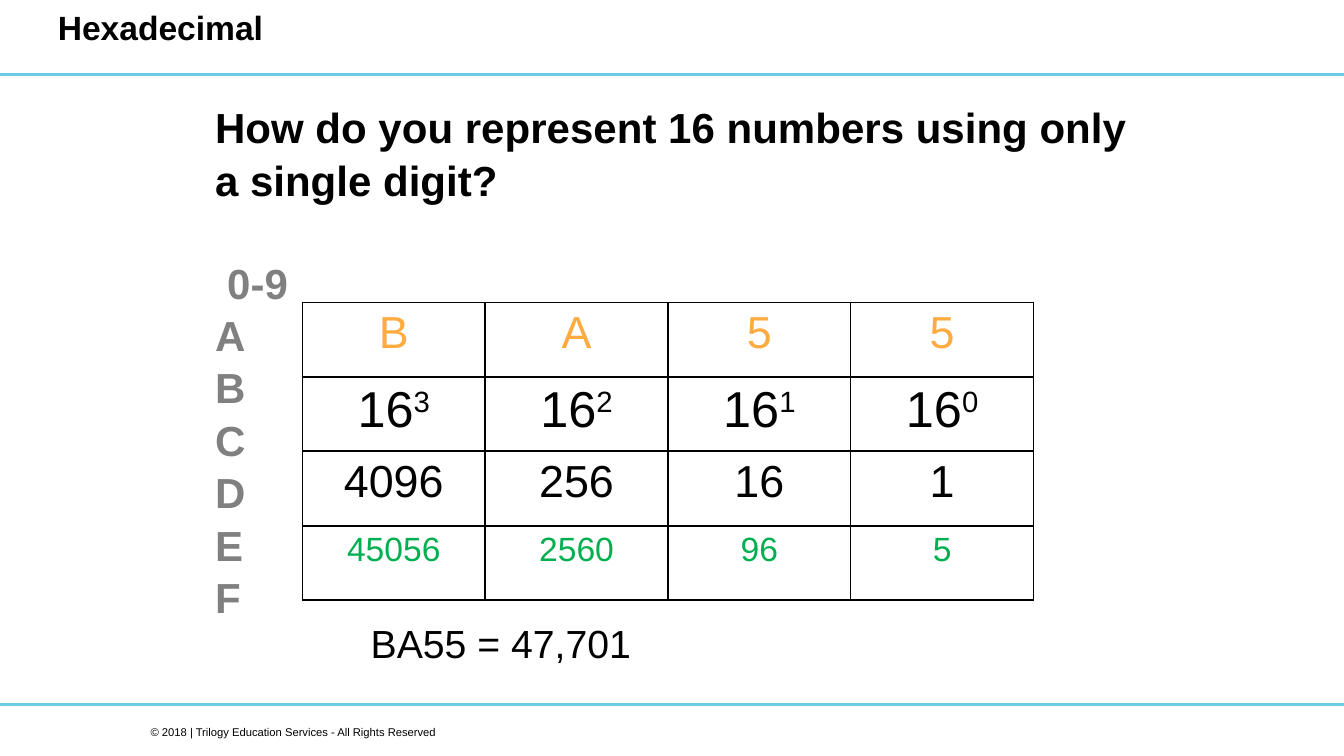
from pptx import Presentation
from pptx.dml.color import RGBColor
from pptx.enum.shapes import MSO_SHAPE
from pptx.enum.text import MSO_ANCHOR, MSO_AUTO_SIZE, PP_ALIGN
from pptx.oxml import parse_xml
from pptx.oxml.ns import nsdecls
from pptx.util import Inches, Pt

THEME = {
    "font": "Arial",
    "black": "000000", "gray": "808080", "bar": "6CCCE6",
    "orange": "FFAB40", "green": "00B050",
    "tiny": 6, "small": 18, "sum": 21, "body": 22.5, "cell": 24, "power": 27,
}

deck = Presentation()
deck.slide_width, deck.slide_height = Inches(10), Inches(5.625)
slide = deck.slides.add_slide(deck.slide_layouts[1])


def area(x, y, wide, high):
    """Turn percent shares of the slide into lengths."""
    col, row = deck.slide_width / 100, deck.slide_height / 100
    return [int(v) for v in (x * col, y * row, wide * col, high * row)]


def put(frame, text, size, color="black", bold=False, align=PP_ALIGN.LEFT,
        first=True, before=0, line=1.0, indent=0):
    """Write one paragraph; a part after ^ is raised."""
    frame.word_wrap = True
    para = frame.paragraphs[0] if first else frame.add_paragraph()
    props = para._p.get_or_add_pPr()
    props.set("marL", "0")
    props.set("indent", str(Inches(indent)))
    props.append(parse_xml(f"<a:buNone {nsdecls('a')}/>"))
    para.alignment, para.line_spacing = align, line
    para.space_before, para.space_after = Pt(before), Pt(0)
    for level, part in enumerate(text.split("^")):
        run = para.add_run()
        run.text = part
        font = run.font
        font.name, font.size, font.bold = THEME["font"], Pt(THEME[size]), bold
        font.color.rgb = RGBColor.from_string(THEME[color])
        if level:
            run._r.get_or_add_rPr().set("baseline", "30000")


# Rules above and below the content
for y in (9.6, 92.95):
    bar = slide.shapes.add_shape(MSO_SHAPE.FLOWCHART_PROCESS, *area(0, y, 100, 0.4))
    bar.shadow.inherit = False
    bar.fill.solid()
    bar.fill.fore_color.rgb = RGBColor.from_string(THEME["bar"])
    bar.line.fill.background()

# Title and body
title, body = slide.shapes.title, slide.placeholders[1]
for holder, spot in ((title, (3.3, 0, 59.8, 9.6)), (body, (15, 12.3, 72.5, 72.2))):
    holder.left, holder.top, holder.width, holder.height = area(*spot)
    holder.text_frame.auto_size = MSO_AUTO_SIZE.NONE
    holder.text_frame.vertical_anchor = MSO_ANCHOR.TOP
put(title.text_frame, "Hexadecimal", "small", bold=True)

put(body.text_frame, "How do you represent 16 numbers using only a single digit?",
    "body", bold=True, line=1.04)
for digit in ("0-9", *"ABCDEF"):
    head = digit == "0-9"
    put(body.text_frame, digit, "body", "gray", bold=True, first=False, line=1.04,
        before=27 if head else 0, indent=0.09 if head else 0)

# Place-value table
rows = [
    ("cell", "orange", ("B", "A", "5", "5")),
    ("power", "black", ("16^3", "16^2", "16^1", "16^0")),
    ("cell", "black", ("4096", "256", "16", "1")),
    ("small", "green", ("45056", "2560", "96", "5")),
]
grid = slide.shapes.add_table(4, 4, *area(22.5, 40, 54.4, 39.4)).table
grid.first_row = grid.horz_banding = False
for r, (size, color, words) in enumerate(rows):
    for c, word in enumerate(words):
        cell = grid.cell(r, c)
        cell.margin_left = cell.margin_right = Inches(0.07)
        cell.margin_top = cell.margin_bottom = Inches(0.04)
        put(cell.text_frame, word, size, color, align=PP_ALIGN.CENTER)
        props = cell._tc.get_or_add_tcPr()
        for side in ("lnL", "lnR", "lnT", "lnB"):
            props.append(parse_xml(
                f'<a:{side} {nsdecls("a")} w="{Pt(1)}"><a:solidFill>'
                f'<a:srgbClr val="{THEME["black"]}"/></a:solidFill></a:{side}>'))
        cell.fill.background()

# Result and footer
for text, size, align, spot in (
    ("BA55 = 47,701", "sum", PP_ALIGN.LEFT, (26.6, 81.1, 46.2, 8)),
    ("© 2018 | Trilogy Education Services - All Rights Reserved", "tiny",
     PP_ALIGN.RIGHT, (1.7, 95.1, 31.7, 3.6)),
):
    box = slide.shapes.add_textbox(*area(*spot))
    put(box.text_frame, text, size, align=align)

deck.save("out.pptx")
